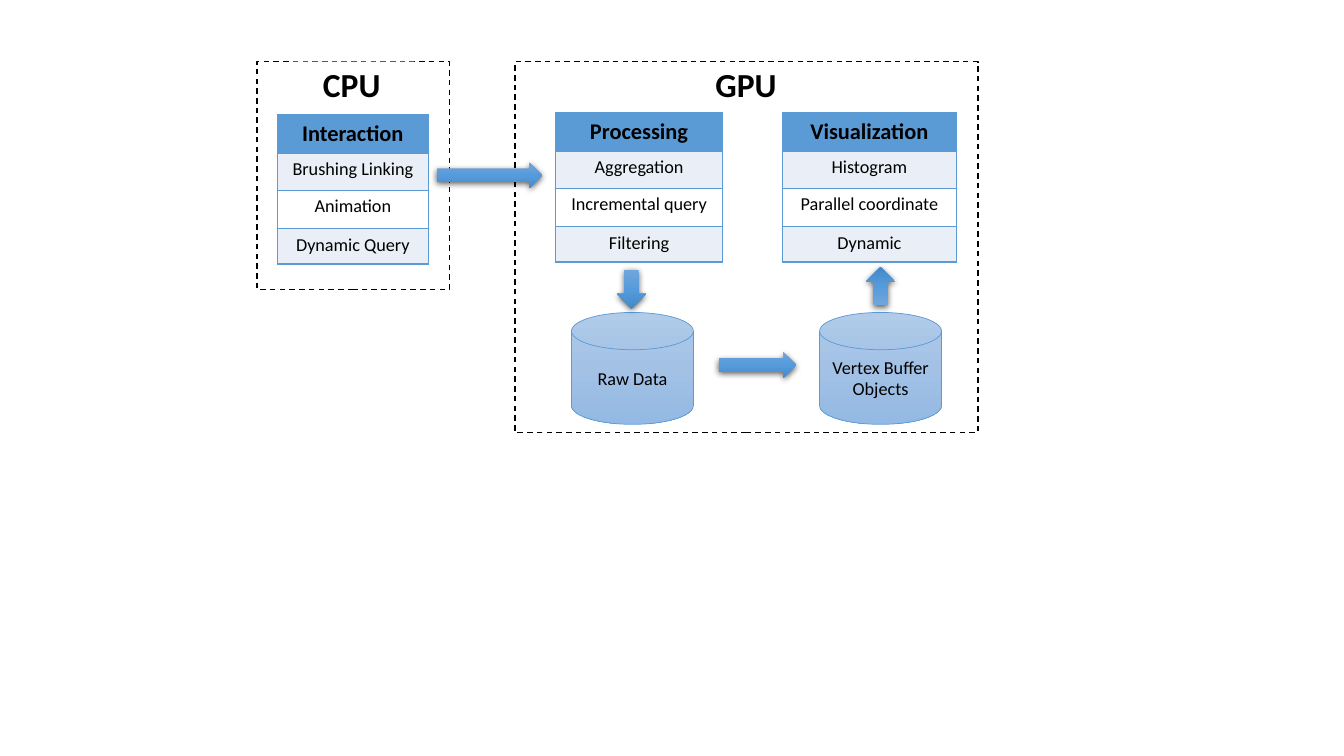
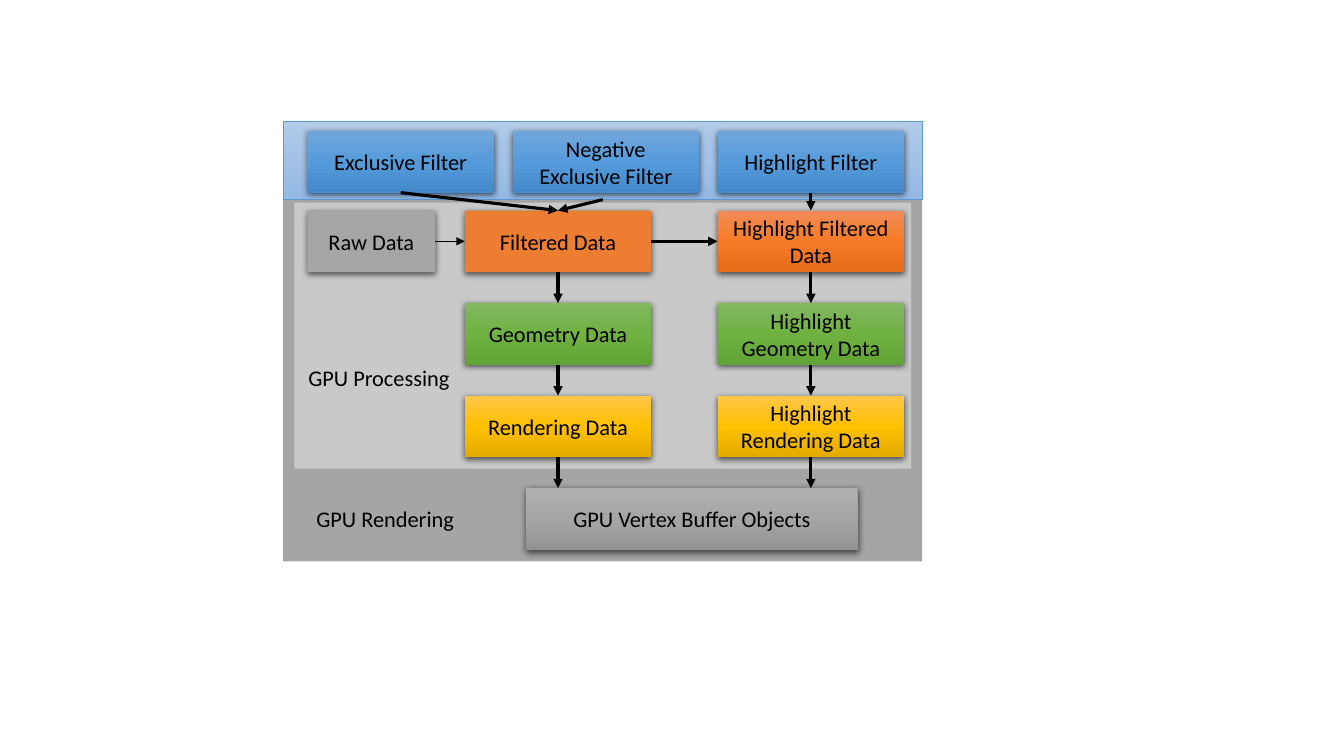
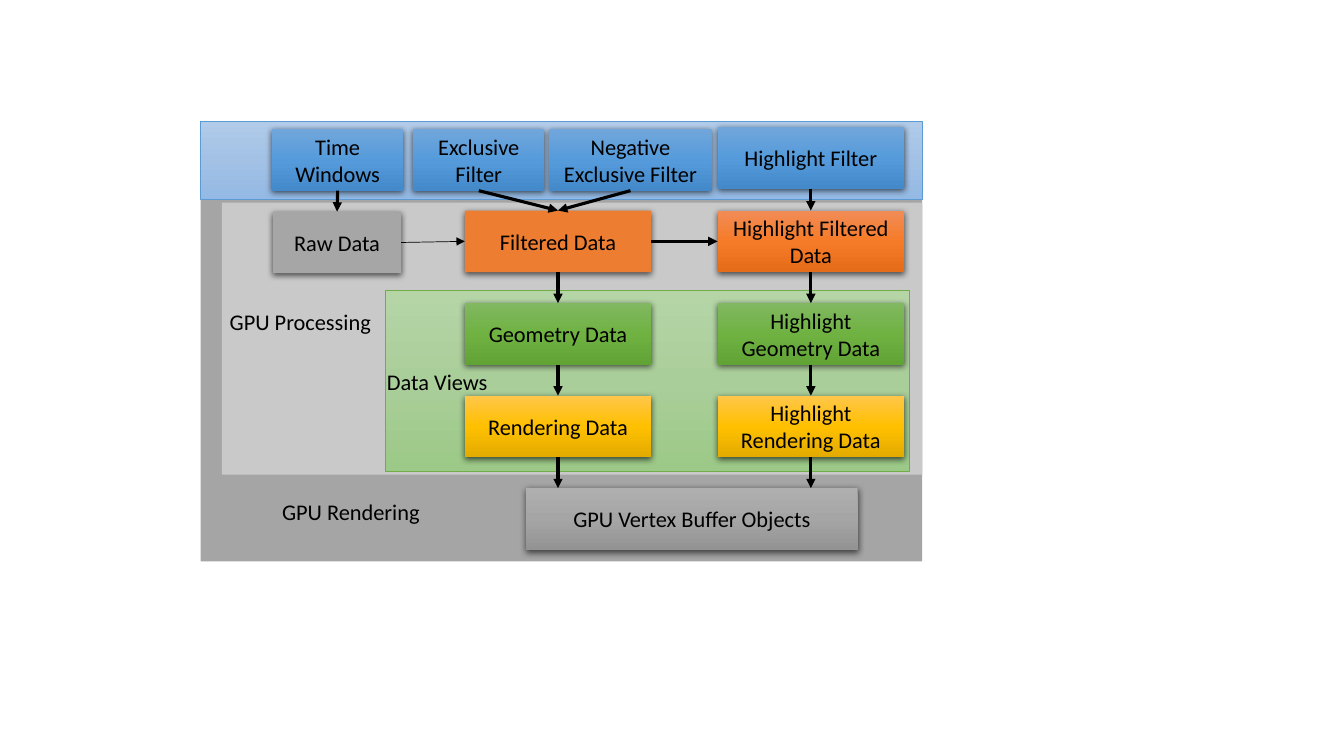
from copy import deepcopy
from dataclasses import dataclass

from lxml import etree
from pptx import Presentation
from pptx.dml.color import RGBColor
from pptx.enum.shapes import MSO_CONNECTOR, MSO_SHAPE
from pptx.enum.dml import MSO_LINE
from pptx.enum.text import MSO_ANCHOR, MSO_AUTO_SIZE, PP_ALIGN
from pptx.oxml.ns import qn
from pptx.util import Pt

RECTANGLE = MSO_SHAPE.RECTANGLE
DISK = MSO_SHAPE.FLOWCHART_MAGNETIC_DISK
RIGHT_ARROW = MSO_SHAPE.RIGHT_ARROW
DOWN_ARROW = MSO_SHAPE.DOWN_ARROW
STRAIGHT = MSO_CONNECTOR.STRAIGHT
DASH = MSO_LINE.DASH
MIDDLE = MSO_ANCHOR.MIDDLE
FIT_TEXT = MSO_AUTO_SIZE.SHAPE_TO_FIT_TEXT
LEFT, CENTER = PP_ALIGN.LEFT, PP_ALIGN.CENTER
TOP_SIDE, LEFT_SIDE, BOTTOM_SIDE, RIGHT_SIDE = range(4)

FONT = "Calibri"
BLACK = RGBColor(0x00, 0x00, 0x00)
WHITE = RGBColor(0xFF, 0xFF, 0xFF)
ACCENT_BLUE = RGBColor(0x5B, 0x9B, 0xD5)
ACCENT_GREEN = RGBColor(0x70, 0xAD, 0x47)
STRIPE = RGBColor(0xEA, 0xEF, 0xF7)
RENDERING_GRAY = RGBColor(0xA5, 0xA5, 0xA5)
PROCESSING_GRAY = RGBColor(0xC9, 0xC9, 0xC9)
RAW_GRAY = RGBColor(0xA6, 0xA6, 0xA6)
ORANGE = RGBColor(0xED, 0x7D, 0x31)
PALE_BLUES = (RGBColor(0xB1, 0xCB, 0xE9), RGBColor(0xA3, 0xC1, 0xE5), RGBColor(0x93, 0xB9, 0xE4))
PALE_GREENS = (RGBColor(0xB5, 0xD5, 0xA7), RGBColor(0xAA, 0xCE, 0x9A), RGBColor(0x9C, 0xC9, 0x87))
BLUES = (RGBColor(0x71, 0xA6, 0xDB), RGBColor(0x55, 0x9B, 0xDB), RGBColor(0x44, 0x8A, 0xCA))
ORANGES = (RGBColor(0xF1, 0x8C, 0x57), RGBColor(0xF6, 0x7B, 0x28), RGBColor(0xE5, 0x6C, 0x19))
GREENS = (RGBColor(0x81, 0xB8, 0x61), RGBColor(0x6F, 0xB2, 0x42), RGBColor(0x62, 0xA3, 0x36))
YELLOWS = (RGBColor(0xFF, 0xC6, 0x4B), RGBColor(0xFF, 0xC0, 0x00), RGBColor(0xE3, 0xAB, 0x00))
GRAYS = (RGBColor(0xAF, 0xAF, 0xAF), RGBColor(0xA5, 0xA5, 0xA5), RGBColor(0x93, 0x93, 0x93))

NODE_WIDTH, NODE_HEIGHT, ROW_PITCH = 133.2, 44, 66.1
RAW_WIDTH = 91.4
BAND_HEIGHT = 56.2
ROW_HEIGHTS = (27.4, 26.6, 27.4, 25.2)


@dataclass
class Box:
    """A rectangle in points."""

    left: float
    top: float
    width: float
    height: float

    def inner(self, left, top, width, height):
        """Return a box placed from this box's top left corner."""
        return Box(self.left + left, self.top + top, width, height)

    def lengths(self):
        """Return the four lengths that python-pptx takes."""
        return Pt(self.left), Pt(self.top), Pt(self.width), Pt(self.height)


def style_text(text_frame, size, align=CENTER, bold=False):
    """Format every paragraph of a text frame alike."""
    for para in text_frame.paragraphs:
        para.alignment = align
        for span in para.runs:
            span.font.name = FONT
            span.font.size = Pt(size)
            span.font.bold = bold
            span.font.color.rgb = BLACK


def paint(shape, fill):
    """Fill a shape with one colour, or with three from top to bottom."""
    if isinstance(fill, RGBColor):
        shape.fill.solid()
        shape.fill.fore_color.rgb = fill
        return
    shape.fill.gradient()
    shape.fill.gradient_angle = 270
    stops = shape.element.spPr.find(qn("a:gradFill")).find(qn("a:gsLst"))
    stops.append(deepcopy(stops[0]))
    for stop, color, position in zip(shape.fill.gradient_stops, fill, (0, 0.5, 1)):
        stop.color.rgb = color
        stop.position = position


def cast_shadow(shape):
    """Give a shape a soft shadow below it."""
    effects = shape.element.spPr.find(qn("a:effectLst"))
    shadow = etree.SubElement(effects, qn("a:outerShdw"), blurRad=str(Pt(4.5)), dist=str(Pt(1.5)),
                              dir="5400000", algn="ctr", rotWithShape="0")
    color = etree.SubElement(shadow, qn("a:srgbClr"), val=str(BLACK))
    etree.SubElement(color, qn("a:alpha"), val="63000")


def add_figure(slide, box, fill, kind=RECTANGLE, line=None, line_width=0.5, shadow=False,
               text="", size=16, bold=False):
    """Add a preset shape with optional outline, shadow and centred text."""
    shape = slide.shapes.add_shape(kind, *box.lengths())
    shape.shadow.inherit = False
    paint(shape, fill)
    if line is None:
        shape.line.fill.background()
    else:
        shape.line.color.rgb = line
        shape.line.width = Pt(line_width)
    if shadow:
        cast_shadow(shape)
    if text:
        shape.text_frame.text = text
        shape.text_frame.word_wrap = True
        shape.text_frame.vertical_anchor = MIDDLE
        style_text(shape.text_frame, size, bold=bold)
    return shape


def add_node(slide, box, fill, text):
    """Add a shadowed step of the data flow."""
    return add_figure(slide, box, fill, shadow=True, text=text)


def add_label(slide, box, text):
    """Add a one-line caption."""
    label = slide.shapes.add_textbox(*box.lengths())
    label.text_frame.text = text
    label.text_frame.word_wrap = False
    label.text_frame.auto_size = FIT_TEXT
    style_text(label.text_frame, 16, LEFT)


def add_arrow(slide, start=(0, 0), end=(0, 0), source=None, target=None, width=2.25):
    """Add an arrow; source and target are (shape, side) pairs that replace the points."""
    arrow = slide.shapes.add_connector(STRAIGHT, *(Pt(value) for value in (*start, *end)))
    if source:
        arrow.begin_connect(*source)
    if target:
        arrow.end_connect(*target)
    arrow.line.color.rgb = BLACK
    arrow.line.width = Pt(width)
    properties = arrow.element.spPr
    etree.SubElement(properties.find(qn("a:ln")), qn("a:tailEnd"), type="triangle")
    etree.SubElement(properties, qn("a:effectLst"))


def add_down_arrow(slide, upper, lower):
    """Join the bottom of one node to the top of another."""
    add_arrow(slide, source=(upper, BOTTOM_SIDE), target=(lower, TOP_SIDE))


def add_border(cell):
    """Draw thin blue lines on all sides of a cell."""
    properties = cell._tc.get_or_add_tcPr()
    for side in ("a:lnL", "a:lnR", "a:lnT", "a:lnB"):
        line = etree.SubElement(properties, qn(side), w=str(Pt(1)))
        fill = etree.SubElement(line, qn("a:solidFill"))
        etree.SubElement(fill, qn("a:srgbClr"), val=str(ACCENT_BLUE))


def add_task_table(slide, box, rows):
    """Add a one-column table with a header and striped rows."""
    table = slide.shapes.add_table(len(rows), 1, *box.lengths()).table
    table.first_row = False
    table.horz_banding = False
    for index, (text, height) in enumerate(zip(rows, ROW_HEIGHTS)):
        table.rows[index].height = Pt(height)
        cell = table.cell(index, 0)
        cell.text = text
        is_header = index == 0
        style_text(cell.text_frame, 16 if is_header else 13, bold=is_header)
        add_border(cell)
        cell.fill.solid()
        cell.fill.fore_color.rgb = ACCENT_BLUE if is_header else (WHITE, STRIPE)[index % 2]


def add_panel(slide, box, title_box, title):
    """Add a dashed processor panel with its title."""
    panel = add_figure(slide, box, WHITE, line=BLACK, line_width=1)
    panel.line.dash_style = DASH
    add_figure(slide, title_box, WHITE, text=title, size=24, bold=True)


def add_cpu_panel(slide, box):
    """Place the interaction side of the architecture."""
    add_panel(slide, box, box.inner(23, 0, 89.3, 31.7), "CPU")
    add_task_table(slide, box.inner(14.4, 38, 108, sum(ROW_HEIGHTS)),
                   ("Interaction", "Brushing Linking", "Animation", "Dynamic Query"))


def add_gpu_panel(slide, box):
    """Place the processing and drawing side of the architecture."""
    add_panel(slide, box, box.inner(120.2, 3.6, 89.3, 25.2), "GPU")
    for left, width, rows in (
        (28.7, 119.5, ("Processing", "Aggregation", "Incremental query", "Filtering")),
        (190.7, 124.6, ("Visualization", "Histogram", "Parallel coordinate", "Dynamic")),
    ):
        add_task_table(slide, box.inner(left, 36.6, width, sum(ROW_HEIGHTS)), rows)
    for left, text in ((40.2, "Raw Data"), (217.4, "Vertex Buffer Objects")):
        add_figure(slide, box.inner(left, 179.2, 87.1, 79.9), PALE_BLUES, DISK,
                   line=ACCENT_BLUE, text=text, size=13)
    for kind, place, turn in (
        (RIGHT_ARROW, (145.4, 207.3, 55.4, 18.7), 0),
        (DOWN_ARROW, (72.6, 149, 20.9, 27.4), 0),
        (DOWN_ARROW, (250.5, 146.8, 20.9, 27.4), 180),
    ):
        arrow = add_figure(slide, box.inner(*place), BLUES, kind, shadow=True)
        arrow.rotation = turn


def build_architecture(slide, box):
    """Show how the two processors share the work."""
    add_cpu_panel(slide, box.inner(0, 0, 137.5, 162.7))
    add_gpu_panel(slide, box.inner(184.4, 0, 330.5, 265))
    add_figure(slide, box.inner(128.2, 71.9, 75.6, 18.7), BLUES, RIGHT_ARROW, shadow=True)


def add_stage_bands(slide, frame, processing):
    """Place the rendering, processing and filter backgrounds."""
    rendering = frame.inner(0, BAND_HEIGHT, frame.width, frame.height - BAND_HEIGHT)
    add_figure(slide, rendering, RENDERING_GRAY)
    add_figure(slide, processing, PROCESSING_GRAY)
    add_figure(slide, frame.inner(0, 0, frame.width, BAND_HEIGHT), PALE_BLUES, line=ACCENT_BLUE)


def add_data_columns(slide, box):
    """Place the two data columns and their buffer; return the two top nodes."""
    columns = (
        (0, ((ORANGE, "Filtered Data"), (GREENS, "Geometry Data"), (YELLOWS, "Rendering Data"))),
        (box.width - NODE_WIDTH, ((ORANGES, "Highlight Filtered Data"),
                                  (GREENS, "Highlight\nGeometry Data"),
                                  (YELLOWS, "Highlight\nRendering Data"))),
    )
    buffer_top = len(columns[0][1]) * ROW_PITCH
    add_node(slide, box.inner(43.8, buffer_top, 236.9, NODE_HEIGHT), GRAYS, "GPU Vertex Buffer Objects")
    heads = []
    for left, steps in columns:
        nodes = [add_node(slide, box.inner(left, row * ROW_PITCH, NODE_WIDTH, NODE_HEIGHT), fill, text)
                 for row, (fill, text) in enumerate(steps)]
        for upper, lower in zip(nodes, nodes[1:]):
            add_down_arrow(slide, upper, lower)
        center = box.left + left + NODE_WIDTH / 2
        add_arrow(slide, end=(center, box.top + buffer_top), start=(center, box.top + buffer_top - 22.1),
                  source=(nodes[-1], BOTTOM_SIDE))
        heads.append(nodes[0])
    add_arrow(slide, source=(heads[0], RIGHT_SIDE), target=(heads[1], LEFT_SIDE))
    return heads


def add_flow(slide, frame, raw_box, filters):
    """Place filters, raw data and data columns; return raw, filtered and filter nodes."""
    filter_nodes = [add_node(slide, box, BLUES, text) for box, text in filters]
    raw = add_node(slide, raw_box, RAW_GRAY, "Raw Data")
    filtered, highlighted = add_data_columns(slide, frame.inner(frame.width - 326.8, 64, 313.8, 242.3))
    add_arrow(slide, source=(raw, RIGHT_SIDE), target=(filtered, LEFT_SIDE), width=0.5)
    add_down_arrow(slide, filter_nodes[-1], highlighted)
    return raw, filtered, filter_nodes


def build_filter_flow(slide, frame):
    """Show the data flow that three filters drive."""
    add_stage_bands(slide, frame, frame.inner(7.9, 58.3, 440.6, 190))
    names = ("Exclusive Filter", "Negative\nExclusive Filter", "Highlight Filter")
    filters = [(frame.inner(17.3 + 146.5 * index, 7.2, NODE_WIDTH, NODE_HEIGHT), name)
               for index, name in enumerate(names)]
    raw_box = frame.inner(17.3, 64, RAW_WIDTH, NODE_HEIGHT)
    _, filtered, nodes = add_flow(slide, frame, raw_box, filters)
    add_down_arrow(slide, nodes[0], filtered)
    add_arrow(slide, start=(frame.left + 228.3, frame.top + BAND_HEIGHT), target=(filtered, TOP_SIDE))
    add_label(slide, frame.inner(10.8, 169.9, 116.6, 26.6), "GPU Processing")
    add_label(slide, frame.inner(16.6, 270.7, 113.8, 26.6), "GPU Rendering")


def build_view_flow(slide, frame):
    """Show the data flow with time windows and data views."""
    add_stage_bands(slide, frame, frame.inner(15.1, 58.3, 500.4, 194.4))
    add_figure(slide, frame.inner(131.7, 121, 374.4, 129.6), PALE_GREENS, line=ACCENT_GREEN)
    filters = [(frame.inner(left, top, width, NODE_HEIGHT), name) for left, top, width, name in (
        (51.1, 5.8, 93.6, "Time Windows"),
        (151.9, 5.8, 93.6, "Exclusive Filter"),
        (249.1, 5.8, 115.9, "Negative\nExclusive Filter"),
        (369.3, 4.3, NODE_WIDTH, "Highlight Filter"),
    )]
    raw_box = frame.inner(51.8, 64.8, RAW_WIDTH, NODE_HEIGHT)
    raw, filtered, nodes = add_flow(slide, frame, raw_box, filters)
    for node, target in zip(nodes, (raw, filtered, filtered)):
        add_down_arrow(slide, node, target)
    add_label(slide, frame.inner(13.7, 130.3, 116.6, 26.6), "GPU Processing")
    add_label(slide, frame.inner(51.1, 265.7, 113.8, 26.6), "GPU Rendering")
    add_label(slide, frame.inner(126, 172.8, 87.1, 26.6), "Data Views")


def main():
    """Build the three slides and save the deck."""
    deck = Presentation()
    deck.slide_width, deck.slide_height = Pt(960), Pt(540)
    for build, box in (
        (build_architecture, Box(183.6, 44, 514.9, 265)),
        (build_filter_flow, Box(202.3, 86.4, 456.5, 314.6)),
        (build_view_flow, Box(143.3, 86.4, 515.5, 314.6)),
    ):
        build(deck.slides.add_slide(deck.slide_layouts[6]), box)
    deck.save("out.pptx")


if __name__ == "__main__":
    main()
